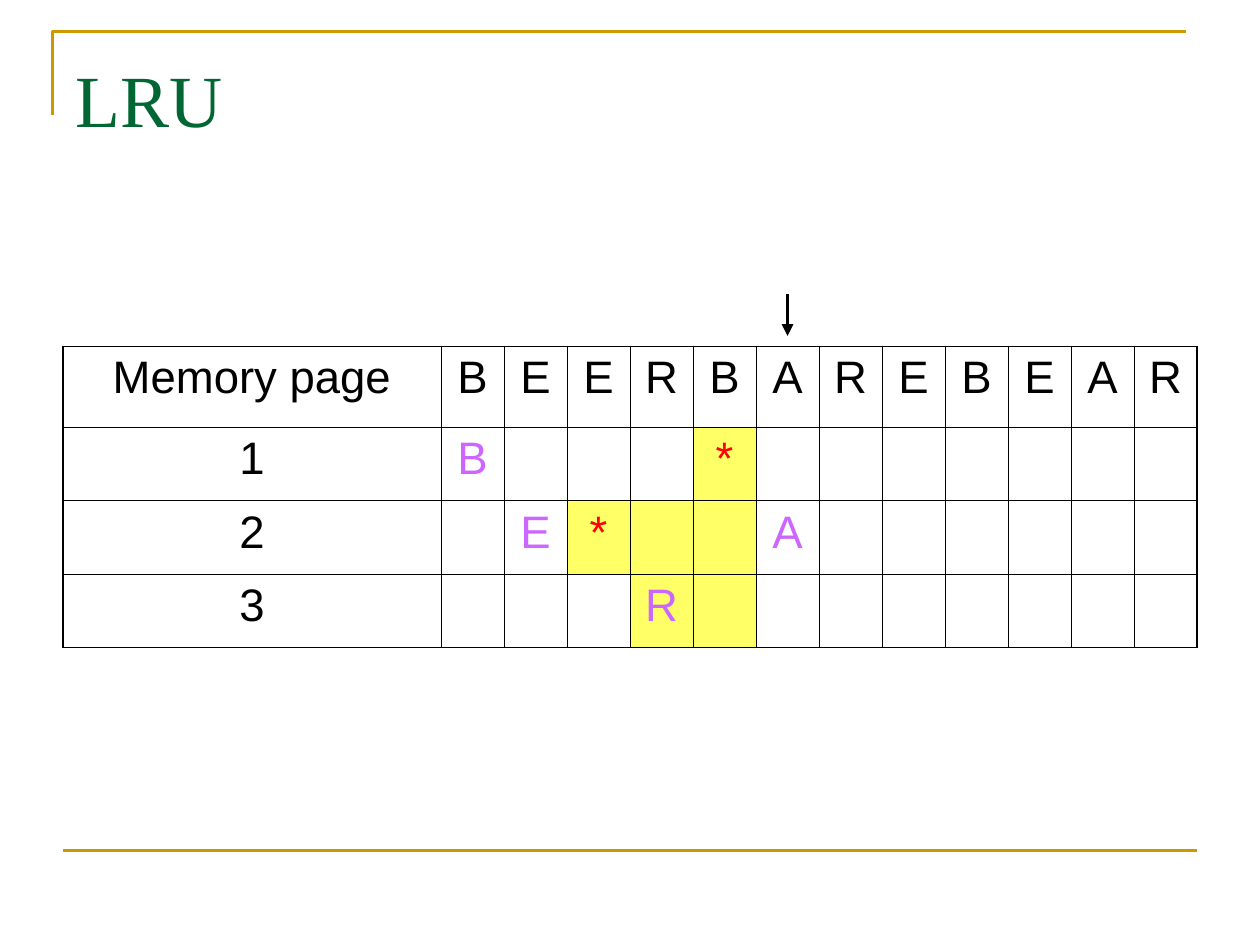
from lxml.etree import SubElement
from pptx import Presentation
from pptx.dml.color import RGBColor
from pptx.enum.shapes import MSO_CONNECTOR
from pptx.enum.text import PP_ALIGN
from pptx.oxml.ns import qn
from pptx.util import Pt


def color(value):
    return RGBColor.from_string(value)


def add_line(start, end, line_color, width):
    line = slide.shapes.add_connector(MSO_CONNECTOR.STRAIGHT, *map(Pt, start + end))
    line.line.color.rgb = color(line_color)
    line.line.width = Pt(width)
    SubElement(line._element.spPr, qn("a:effectLst"))
    return line


presentation = Presentation()
presentation.slide_width = Pt(720)
presentation.slide_height = Pt(540)
slide = presentation.slides.add_slide(presentation.slide_layouts[6])

builder = slide.shapes.build_freeform(Pt(30), Pt(66), scale=1.0)
builder.add_line_segments([(Pt(30), Pt(18)), (Pt(678), Pt(18))], close=False)
corner = builder.convert_to_shape()
corner.shadow.inherit = False
corner.fill.background()
corner.line.color.rgb = color("CC9900")
corner.line.width = Pt(1.5)

add_line((36, 486), (684, 486), "CC9900", 1.5)

title = slide.shapes.add_textbox(Pt(36), Pt(21.6), Pt(648), Pt(90))
title.text_frame.word_wrap = True
title.text_frame.margin_top = Pt(9)
paragraph = title.text_frame.paragraphs[0]
paragraph.text = "LRU"
paragraph.font.name = "Times New Roman"
paragraph.font.size = Pt(42)
paragraph.font.color.rgb = color("006633")

requests = "BEERBAREBEAR"
entries = {
    (1, 1): "B", (1, 5): "*",
    (2, 2): "E", (2, 3): "*", (2, 6): "A",
    (3, 4): "R",
}
highlighted = {(1, 5), (2, 3), (2, 4), (2, 5), (3, 4), (3, 5)}
row_heights = [46.3, 41.9, 41.9, 41.9]
column_widths = [216] + [36] * len(requests)
last_row = len(row_heights) - 1
last_column = len(requests)

frame = slide.shapes.add_table(
    len(row_heights), len(column_widths),
    Pt(36), Pt(198), Pt(sum(column_widths)), Pt(sum(row_heights)),
)
table = frame.table
table.first_row = False
table.horz_banding = False
for column, width in zip(table.columns, column_widths):
    column.width = Pt(width)

for row, height in enumerate(row_heights):
    table.rows[row].height = Pt(height)
    for column in range(last_column + 1):
        cell = table.cell(row, column)
        if column == 0:
            text = str(row) if row else "Memory page"
        elif row == 0:
            text = requests[column - 1]
        else:
            text = entries.get((row, column), "")
        text_color = "000000"
        if (row, column) in entries:
            text_color = "FF0000" if text == "*" else "CC66FF"
        paragraph = cell.text_frame.paragraphs[0]
        paragraph.text = text
        paragraph.alignment = PP_ALIGN.CENTER
        paragraph.font.name = "Arial"
        paragraph.font.size = Pt(26)
        paragraph.font.color.rgb = color(text_color)

        outer_sides = {
            "L": column == 0, "R": column == last_column,
            "T": row == 0, "B": row == last_row,
        }
        properties = cell._tc.get_or_add_tcPr()
        for side, outer in outer_sides.items():
            border = SubElement(properties, qn(f"a:ln{side}"), w=str(Pt(1.08 if outer else 0.45)))
            SubElement(SubElement(border, qn("a:solidFill")), qn("a:srgbClr"), val="000000")
        cell.fill.solid()
        cell.fill.fore_color.rgb = color("FFFF66" if (row, column) in highlighted else "FFFFFF")

arrow = add_line((450, 168), (450, 192), "000000", 2.25)
SubElement(arrow.line._get_or_add_ln(), qn("a:tailEnd"), type="triangle")

presentation.save("out.pptx")
